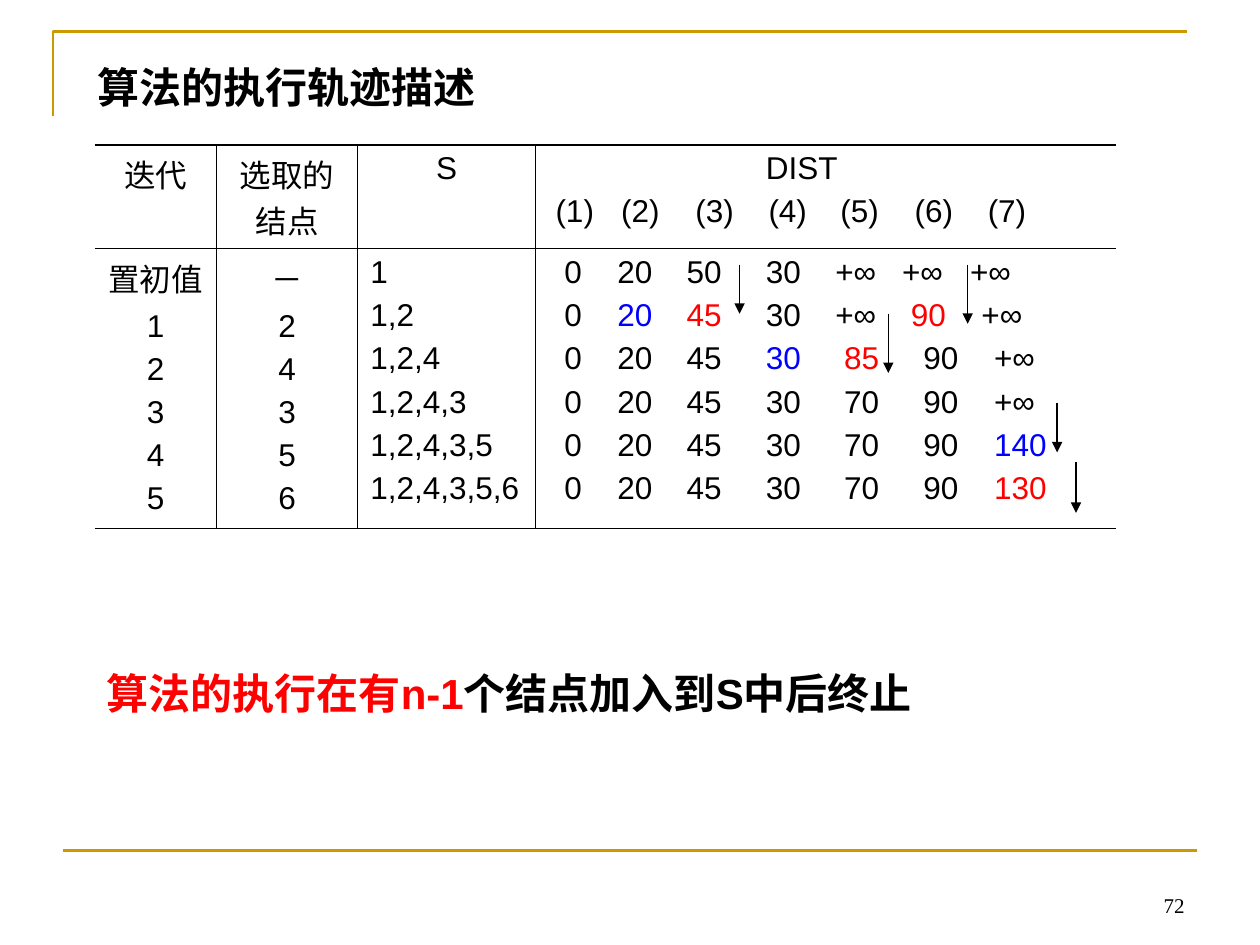
from lxml import etree
from pptx import Presentation
from pptx.dml.color import RGBColor
from pptx.enum.shapes import MSO_CONNECTOR
from pptx.enum.text import MSO_ANCHOR, MSO_AUTO_SIZE, PP_ALIGN
from pptx.oxml.ns import qn
from pptx.util import Inches, Pt

LEFT, CENTER, RIGHT = PP_ALIGN.LEFT, PP_ALIGN.CENTER, PP_ALIGN.RIGHT
STRAIGHT = MSO_CONNECTOR.STRAIGHT
COLORS = {"black": "000000", "red": "FF0000", "blue": "0000FF", "gold": "CC9900"}


def write(paragraph, runs, size, align=LEFT, before=0, stops=(), bold=False, font="Arial"):
    """Fill a paragraph with (text, color name) runs and optional tab stops."""
    paragraph.alignment = align
    paragraph.space_before = Pt(before)
    if stops:
        tabs = etree.SubElement(paragraph._p.get_or_add_pPr(), qn("a:tabLst"))
        for stop in stops:
            etree.SubElement(tabs, qn("a:tab"), pos=str(Inches(stop)), algn="l")
    paragraph.font.name = font
    paragraph.font.size = Pt(size)
    paragraph.font.bold = bold
    for text, color in runs:
        run = paragraph.add_run()
        run.text = text
        run.font.color.rgb = RGBColor.from_string(COLORS[color])


def draw_line(x1, y1, x2, y2, color, width, arrow=False):
    line = slide.shapes.add_connector(STRAIGHT, Inches(x1), Inches(y1), Inches(x2), Inches(y2))
    line.line.color.rgb = RGBColor.from_string(COLORS[color])
    line.line.width = Pt(width)
    properties = line._element.spPr
    if arrow:
        etree.SubElement(properties.find(qn("a:ln")), qn("a:tailEnd"), type="triangle")
    etree.SubElement(properties, qn("a:effectLst"))


presentation = Presentation()
presentation.slide_width, presentation.slide_height = Inches(10), Inches(7.5)
slide = presentation.slides.add_slide(presentation.slide_layouts[5])

# Gold frame: corner at top left, rule at the bottom
builder = slide.shapes.build_freeform(Inches(0.42), Inches(0.92))
builder.add_line_segments([(Inches(0.42), Inches(0.25)), (Inches(9.42), Inches(0.25))], close=False)
corner = builder.convert_to_shape()
corner.fill.background()
corner.line.color.rgb = RGBColor.from_string(COLORS["gold"])
corner.line.width = Pt(1.5)
corner.shadow.inherit = False
draw_line(0.5, 6.75, 9.5, 6.75, "gold", 1.5)

# Title
title = slide.shapes.title
title.left, title.top, title.width, title.height = (Inches(v) for v in (0.67, 0.44, 4.42, 0.5))
title.text_frame.auto_size = MSO_AUTO_SIZE.NONE
title.text_frame.vertical_anchor = MSO_ANCHOR.TOP
write(title.text_frame.paragraphs[0], [("算法的执行轨迹描述", "black")], 24, before=6, bold=True)

# Trace contents
header_stops = (0.06, 0.58, 1.17, 1.75, 2.32, 2.91, 3.49)
first_stops = (0.13, 0.55, 1.10, 1.73)
late_stops = first_stops + (2.35, 2.98, 3.54)
distances = [  # values, tab stops, highlighted columns
    ("0 20 50 30 +∞ +∞ +∞", first_stops + (2.28, 2.81, 3.35), {}),
    ("0 20 45 30 +∞ 90 +∞", first_stops + (2.28, 2.88, 3.44), {1: "blue", 2: "red", 5: "red"}),
    ("0 20 45 30 85 90 +∞", late_stops, {3: "blue", 4: "red"}),
    ("0 20 45 30 70 90 +∞", late_stops, {}),
    ("0 20 45 30 70 90 140", late_stops, {6: "blue"}),
    ("0 20 45 30 70 90 130", late_stops, {6: "red"}),
]
selected = ["2", "4", "3", "5", "6"]
iterations = ["置初值"] + [str(n) for n in range(1, 6)]
node_sets = [",".join(["1"] + selected[:n]) for n in range(6)]
text_columns = [  # header, body lines, body alignment
    ("迭代", iterations, CENTER),
    ("选取的结点", ["－"] + selected, CENTER),
    ("S", node_sets, LEFT),
]

# Each cell is a list of (runs, alignment, tab stops) paragraphs
header_cells = [[([(header, "black")], CENTER, ())] for header, _, _ in text_columns]
body_cells = [[([(line, "black")], align, ()) for line in lines] for _, lines, align in text_columns]
header_cells.append([
    ([("\tDIST", "black")], LEFT, (1.73,)),
    ([("".join(f"\t({n})" for n in range(1, 8)), "black")], LEFT, header_stops),
])
body_cells.append([
    ([("\t" + value, marks.get(i, "black")) for i, value in enumerate(values.split())], LEFT, stops)
    for values, stops, marks in distances
])

# Trace table
table = slide.shapes.add_table(2, 4, Inches(0.75), Inches(1.15), Inches(8.11), Inches(3)).table
table.first_row = table.horz_banding = False
for column, width in zip(table.columns, (0.97, 1.12, 1.41, 4.61)):
    column.width = Inches(width)
for row, height in zip(table.rows, (0.78, 2.22)):
    row.height = Inches(height)

for r, cells in enumerate((header_cells, body_cells)):
    for c, paragraphs in enumerate(cells):
        cell = table.cell(r, c)
        for i, (runs, align, stops) in enumerate(paragraphs):
            frame = cell.text_frame
            paragraph = frame.paragraphs[0] if i == 0 else frame.add_paragraph()
            write(paragraph, runs, 18, align, before=4.5, stops=stops)
        # Thin inner rules, heavier top and bottom, open sides
        borders = {"lnL": 0.45 if c > 0 else 0, "lnR": 0.45 if c < 3 else 0,
                   "lnT": 1.08 if r == 0 else 0.45, "lnB": 1.08 if r == 1 else 0.45}
        properties = cell._tc.get_or_add_tcPr()
        for side, width in borders.items():
            border = etree.SubElement(properties, qn(f"a:{side}"), w=str(Pt(width)))
            if width:
                fill = etree.SubElement(border, qn("a:solidFill"))
                etree.SubElement(fill, qn("a:srgbClr"), val=COLORS["black"])
            else:
                etree.SubElement(border, qn("a:noFill"))
        cell.fill.background()

# Arrows marking updated distances
for x, top, bottom in [(5.87, 2.1, 2.49), (7.05, 2.49, 2.96), (7.68, 2.1, 2.57),
                       (8.39, 3.2, 3.59), (8.54, 3.67, 4.07)]:
    draw_line(x, top, x, bottom, "black", 0.75, arrow=True)

# Conclusion
conclusion = slide.shapes.add_textbox(Inches(0.75), Inches(5.25), Inches(7.87), Inches(0.5))
conclusion.text_frame.word_wrap = True
write(conclusion.text_frame.paragraphs[0],
      [("算法的执行在有n-1", "red"), ("个结点加入到S中后终止", "black")], 24, before=6, bold=True)

# Page number
page_number = slide.shapes.add_textbox(Inches(7.17), Inches(6.83), Inches(2.33), Inches(0.5))
page_number.text_frame.word_wrap = True
page_number.text_frame.vertical_anchor = MSO_ANCHOR.BOTTOM
write(page_number.text_frame.paragraphs[0], [("72", "black")], 12, RIGHT, font="Times New Roman")

presentation.save("out.pptx")
